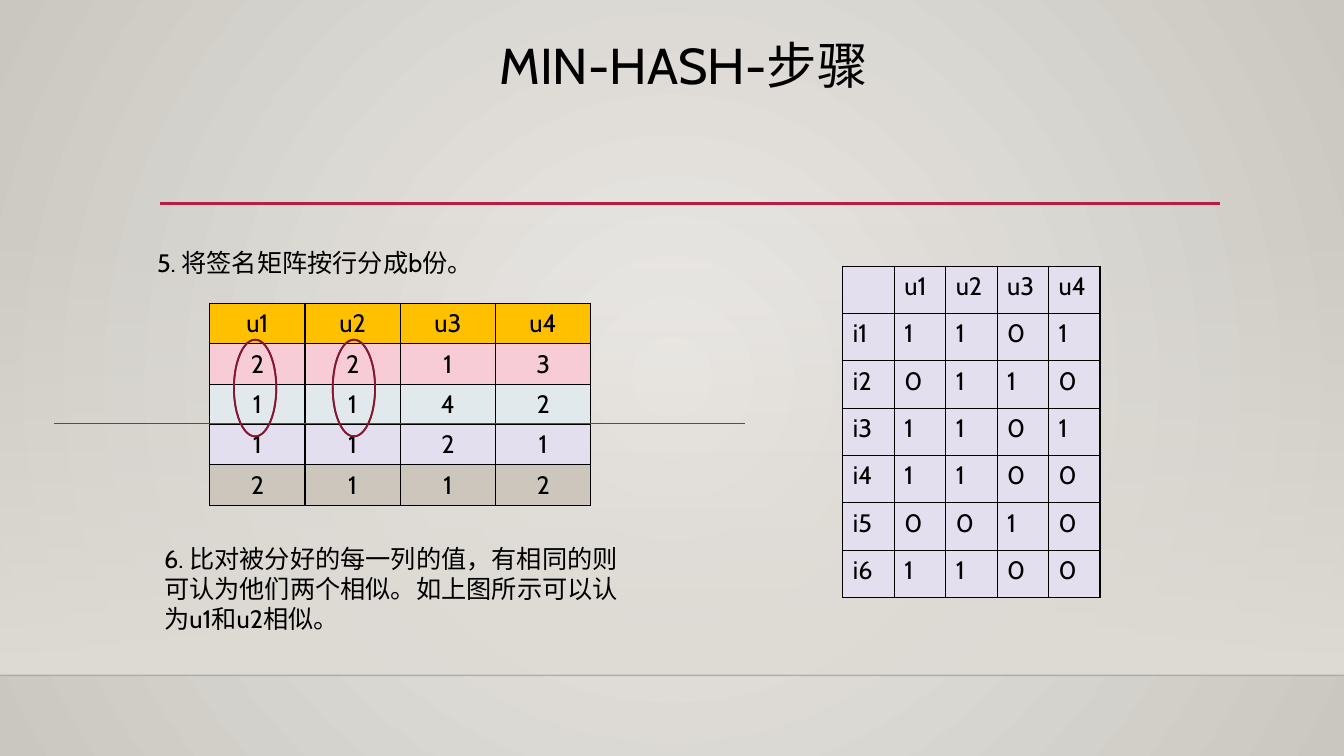
import dataclasses

import pptx
import pptx.dml.color
import pptx.enum.shapes
import pptx.enum.text
import pptx.oxml
import pptx.oxml.ns
import pptx.util

Inches = pptx.util.Inches
ALIGN = pptx.enum.text.PP_ALIGN


@dataclasses.dataclass(frozen=True)
class Theme:
    """Colours, font and type sizes of the slide."""
    font: str = "Cabin"
    title_size: int = 36
    body_size: int = 18
    text: str = "000000"
    edge: str = "000001"
    accent: str = "B71E42"
    ring: str = "871631"
    center: str = "ECEAE7"
    rim: str = "CAC7C1"
    floor: str = "DFDBD5"
    header: str = "FFC000"
    lavender: str = "E4DFEF"
    bands: tuple = ("F7CCD6", "E1E9EC", "E4DFEF", "CCC6BC")


THEME = Theme()

SIGNATURES = ["u1 u2 u3 u4", "2 2 1 3", "1 1 4 2", "1 1 2 1", "2 1 1 2"]
RATINGS = [" u1 u2 u3 u4", "i1 1 1 0 1", "i2 0 1 1 0", "i3 1 1 0 1",
           "i4 1 1 0 0", "i5 0 0 1 0", "i6 1 1 0 0"]


def color(value):
    """Turn a hex string into an RGB colour."""
    return pptx.dml.color.RGBColor.from_string(value)


def parse(tag, content, attributes=""):
    """Parse one drawing element with its content."""
    namespace = pptx.oxml.ns.nsdecls("a")
    return pptx.oxml.parse_xml(
        f"<a:{tag} {namespace} {attributes}>{content}</a:{tag}>")


def apply_format(target, values):
    """Set every attribute named in a dict of format values."""
    for name, value in values.items():
        setattr(target, name, value)


def set_gradient(fill, element, stops, direction):
    """Give a fill a gradient of (position, colour, opacity) stops."""
    fill.gradient()
    marks = "".join(
        f'<a:gs pos="{position * 1000}"><a:srgbClr val="{value}">'
        f'<a:alpha val="{opacity * 1000}"/></a:srgbClr></a:gs>'
        for position, value, opacity in stops)
    gradient = element.xpath(".//a:gradFill")[0]
    gradient.getparent().replace(
        gradient, parse("gradFill", f"<a:gsLst>{marks}</a:gsLst>{direction}"))


def write_text(frame, text, size=THEME.body_size, **paragraph_format):
    """Write one paragraph of styled text in a text frame."""
    paragraph = frame.paragraphs[0]
    apply_format(paragraph, paragraph_format)
    run = paragraph.add_run()
    run.text = text
    apply_format(run.font, {"name": THEME.font, "size": pptx.util.Pt(size),
                            "bold": False})
    run.font.color.rgb = color(THEME.text)


def add_text(slide, box, text, **text_format):
    """Add a wrapping text box."""
    shape = slide.shapes.add_textbox(*map(Inches, box))
    shape.text_frame.word_wrap = True
    write_text(shape.text_frame, text, **text_format)


def add_rule(slide, left, right, top, value, width, opacity=100):
    """Add a horizontal line without a shadow."""
    line = slide.shapes.add_connector(
        pptx.enum.shapes.MSO_CONNECTOR.STRAIGHT,
        Inches(left), Inches(top), Inches(right), Inches(top))
    line.line.width = pptx.util.Pt(width)
    line.line.color.rgb = color(value)
    if opacity < 100:
        line.element.xpath(".//a:ln//a:srgbClr")[0].append(
            parse("alpha", "", f'val="{opacity * 1000}"'))
    line.element.spPr.append(parse("effectLst", ""))


def add_floor(slide):
    """Add the band that fades in towards the floor edge."""
    shape = slide.shapes.add_shape(
        pptx.enum.shapes.MSO_SHAPE.RECTANGLE,
        *map(Inches, (0, 2.21, 13.33, 4.49)))
    shape.shadow.inherit = False
    shape.line.fill.background()
    set_gradient(shape.fill, shape.element,
                 [(0, THEME.floor, 0), (100, THEME.floor, 100)],
                 '<a:lin ang="5400000" scaled="0"/>')


def add_ring(slide, left):
    """Add a thin ring around two matching signature values."""
    shape = slide.shapes.add_shape(
        pptx.enum.shapes.MSO_SHAPE.DONUT,
        *map(Inches, (left, 3.37, 0.42, 0.96)))
    shape.adjustments[0] = 0
    shape.shadow.inherit = False
    shape.fill.solid()
    shape.fill.fore_color.rgb = color(THEME.accent)
    shape.line.color.rgb = color(THEME.ring)
    shape.line.width = pptx.util.Pt(1.25)


def add_borders(cell):
    """Draw a one point border on all sides of a cell."""
    properties = cell._tc.get_or_add_tcPr()
    content = f'<a:solidFill><a:srgbClr val="{THEME.text}"/></a:solidFill>'
    for index, tag in enumerate(("lnL", "lnR", "lnT", "lnB")):
        properties.insert(index, parse(tag, content, 'w="12700"'))


def add_matrix(slide, left, top, column_width, row_height, lines, fills,
               alignment=ALIGN.LEFT):
    """Add a bordered table with one fill colour per row."""
    rows = [line.split(" ") for line in lines]
    columns = len(rows[0])
    table = slide.shapes.add_table(
        len(rows), columns, Inches(left), Inches(top),
        Inches(column_width * columns), Inches(row_height * len(rows))).table
    apply_format(table, {"first_row": False, "horz_banding": False})
    for row_index, (values, fill) in enumerate(zip(rows, fills)):
        for column_index, value in enumerate(values):
            cell = table.cell(row_index, column_index)
            cell.fill.solid()
            cell.fill.fore_color.rgb = color(fill)
            add_borders(cell)
            if value:
                write_text(cell.text_frame, value, alignment=alignment)


def main():
    """Build and save the slide."""
    presentation = pptx.Presentation()
    apply_format(presentation, {"slide_width": Inches(13.33),
                                "slide_height": Inches(7.5)})
    slide = presentation.slides.add_slide(presentation.slide_layouts[6])
    set_gradient(slide.background.fill, slide.element,
                 [(0, THEME.center, 100), (100, THEME.rim, 100)],
                 '<a:path path="circle"><a:fillToRect l="50000" t="50000" '
                 'r="50000" b="50000"/></a:path>')
    add_floor(slide)
    add_rule(slide, 0, 13.33, 6.7, THEME.edge, 1, opacity=20)
    add_rule(slide, 1.59, 12.1, 2.02, THEME.accent, 2.5)
    add_text(slide, (1.53, 0.36, 10.5, 1.15), "MIN-HASH-步骤",
             size=THEME.title_size, alignment=ALIGN.CENTER, line_spacing=0.9)
    add_text(slide, (1.46, 2.4, 10.64, 0.4), "5. 将签名矩阵按行分成b份。")
    add_matrix(slide, 2.08, 3.01, 0.945, 0.4, SIGNATURES,
               (THEME.header, *THEME.bands), ALIGN.CENTER)
    add_rule(slide, 0.54, 7.39, 4.2, THEME.accent, 0.75)
    add_matrix(slide, 8.36, 2.64, 0.51, 0.47, RATINGS,
               [THEME.lavender] * len(RATINGS))
    add_text(slide, (1.53, 5.34, 4.87, 1.01),
             "6. 比对被分好的每一列的值，有相同的则可认为他们两个相似。"
             "如上图所示可以认为u1和u2相似。")
    for left in (2.32, 3.3):
        add_ring(slide, left)
    presentation.save("out.pptx")


main()
